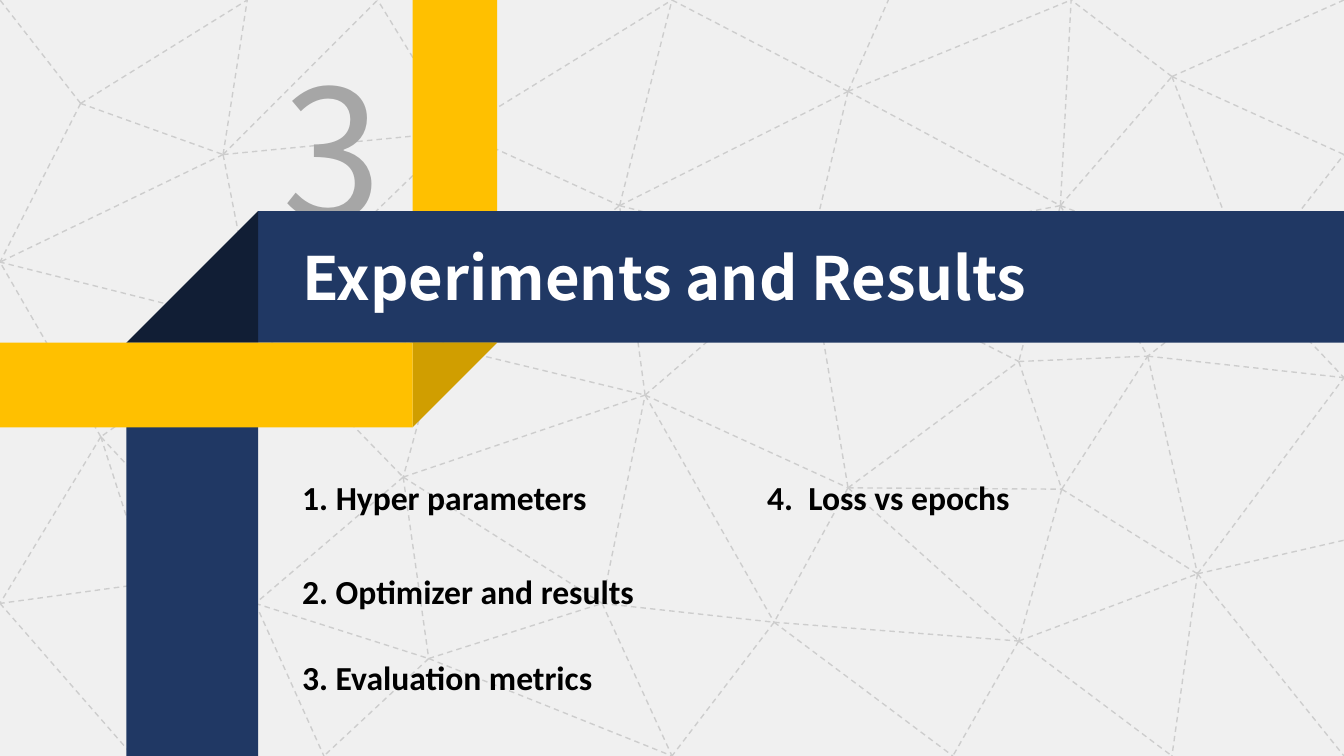
from lxml import etree
from pptx import Presentation
from pptx.dml.color import RGBColor
from pptx.enum import dml, shapes, text
from pptx.oxml import ns
from pptx.util import Inches, Pt

NAVY = RGBColor(0x20, 0x38, 0x64)
NAVY_FOLD = RGBColor(0x11, 0x1E, 0x35)
GOLD = RGBColor(0xFF, 0xC0, 0x00)
GOLD_FOLD = RGBColor(0xD0, 0x9E, 0x00)
PAPER = RGBColor(0xF0, 0xF0, 0xF0)
MESH_GRAY = RGBColor(0xCD, 0xCD, 0xCD)
NUMBER_GRAY = RGBColor(0xA6, 0xA6, 0xA6)
WHITE = RGBColor(0xFF, 0xFF, 0xFF)
BLACK = RGBColor(0x00, 0x00, 0x00)

HEADING_FONT = "Noto Sans CJK SC"
BODY_FONT = "Calibri"

SECTION_NUMBER = "3"
SECTION_TITLE = "Experiments and Results"
# Each column: left edge, then topics with their box widths
TOPIC_COLUMNS = [
    (2.15, [("1. Hyper parameters", 2.32),
            ("2. Optimizer and results", 2.67),
            ("3. Evaluation metrics", 2.36)]),
    (5.61, [("4.  Loss vs epochs", 2.01)]),
]
TOPIC_TOPS = [3.5, 4.2, 4.84]

WIDTH = 10
HEIGHT = WIDTH * 9 / 16

# Mesh points: T, B, L and R lie on the slide's edges, the rest inside
MESH_POINTS = {
    "T0": (0, 0), "T1": (1.84, 0), "T2": (2.81, 0), "T3": (5, 0),
    "T4": (6.61, 0), "T5": (7.97, 0), "T6": (10, 0),
    "L1": (0, 1.95), "L2": (0, 4.49),
    "R1": (10, 1.15), "R2": (10, 2.81), "R3": (10, 4.02),
    "B1": (0.99, HEIGHT), "B2": (2.41, HEIGHT), "B3": (5, HEIGHT),
    "B4": (7.09, HEIGHT), "B5": (8.72, HEIGHT), "B6": (10, HEIGHT),
    "a": (0.6, 0.77), "b": (1.66, 1.15), "c": (1.91, 2.43),
    "d": (3.41, 0.98), "e": (3.27, 2.57), "f": (3, 3.55),
    "g": (1.9, 4.49), "h": (0.75, 3.25), "i": (1.1, 4.34),
    "j": (3.19, 4.9), "k": (4.48, 4.49), "l": (4.8, 2.94),
    "m": (4.61, 1.53), "n": (6.31, 0.68), "o": (6.02, 1.89),
    "p": (6.31, 3.63), "q": (5.76, 4.63), "r": (7.89, 1.53),
    "s": (7.58, 2.69), "t": (7.9, 3.64), "u": (7.58, 4.77),
    "v": (8.72, 0.57), "w": (9.29, 2.06), "x": (8.54, 2.65),
    "y": (8.91, 4.27),
}
# From each point, the points it is joined to
MESH_LINKS = {
    "a": "T0 T1 L1 b", "b": "T1 T2 L1 c d", "c": "L1 d e f g h",
    "d": "T2 T3 e m", "e": "f l m", "f": "g j k l",
    "g": "B1 B2 h i j", "h": "L1 L2 i", "i": "L2 B1",
    "j": "B2 B3 k", "k": "B3 l q", "l": "m o p q",
    "m": "T3 n o", "n": "T3 T4 T5 o r", "o": "p r s",
    "p": "q s t u", "q": "B3 B4 u", "r": "T5 s v w x",
    "s": "t x", "t": "u x y", "u": "B4 B5 y",
    "v": "T5 T6 R1 w", "w": "R1 R2 x", "x": "R2 y",
    "y": "R2 R3 B5 B6", "L2": "B1",
}

# Ribbon geometry
NAVY_BAND, GOLD_BAND = 0.98, 0.63
NAVY_LEFT, NAVY_TOP = 0.94, 1.57
GOLD_LEFT = 3.07
BAR_LEFT = NAVY_LEFT + NAVY_BAND
CROSSING = NAVY_TOP + NAVY_BAND


def place(shape, left, top, width, height):
    shape.left, shape.top = Inches(left), Inches(top)
    shape.width, shape.height = Inches(width), Inches(height)


def draw_mesh(slide):
    mesh = slide.shapes.add_group_shape()
    for start, ends in MESH_LINKS.items():
        for end in ends.split():
            (x1, y1), (x2, y2) = MESH_POINTS[start], MESH_POINTS[end]
            link = mesh.shapes.add_connector(
                shapes.MSO_CONNECTOR.STRAIGHT,
                Inches(x1), Inches(y1), Inches(x2), Inches(y2))
            link.line.color.rgb = MESH_GRAY
            link.line.width = Pt(0.75)
            link.line.dash_style = dml.MSO_LINE.DASH
            properties = link.element.find(ns.qn("p:spPr"))
            etree.SubElement(properties, ns.qn("a:effectLst"))


def add_band(slide, left, top, width, height, color,
             kind=shapes.MSO_SHAPE.RECTANGLE, rotation=0):
    band = slide.shapes.add_shape(
        kind, Inches(left), Inches(top), Inches(width), Inches(height))
    band.rotation = rotation
    band.fill.solid()
    band.fill.fore_color.rgb = color
    band.line.fill.background()
    band.shadow.inherit = False


def add_fold(slide, left, top, side, color, rotation):
    add_band(slide, left, top, side, side, color,
             shapes.MSO_SHAPE.RIGHT_TRIANGLE, rotation)


def write(shape, words, font, size, color, bold=False):
    frame = shape.text_frame
    frame.word_wrap = False
    frame.auto_size = text.MSO_AUTO_SIZE.SHAPE_TO_FIT_TEXT
    frame.vertical_anchor = text.MSO_ANCHOR.TOP
    paragraph = frame.paragraphs[0]
    paragraph.alignment = text.PP_ALIGN.LEFT
    run = paragraph.add_run()
    run.text = words
    run.font.name = font
    run.font.size = Pt(size)
    run.font.bold = bold
    run.font.color.rgb = color


def add_label(slide, left, top, width, height, *style):
    label = slide.shapes.add_textbox(
        Inches(left), Inches(top), Inches(width), Inches(height))
    write(label, *style)


def main():
    deck = Presentation()
    deck.slide_width, deck.slide_height = Inches(WIDTH), Inches(HEIGHT)
    slide = deck.slides.add_slide(deck.slide_layouts[5])
    slide.background.fill.solid()
    slide.background.fill.fore_color.rgb = PAPER
    draw_mesh(slide)

    add_band(slide, GOLD_LEFT, 0, GOLD_BAND, CROSSING, GOLD)
    add_label(slide, 2, 0.25, 0.99, 1.72,
              SECTION_NUMBER, HEADING_FONT, 96, NUMBER_GRAY)
    add_band(slide, NAVY_LEFT, CROSSING, NAVY_BAND, HEIGHT - CROSSING, NAVY)
    add_band(slide, BAR_LEFT, NAVY_TOP, WIDTH - BAR_LEFT, NAVY_BAND, NAVY)
    add_fold(slide, NAVY_LEFT, NAVY_TOP, NAVY_BAND, NAVY_FOLD, 270)

    title = slide.shapes.title
    place(title, 2.15, 1.74, 5.68, 0.64)
    write(title, SECTION_TITLE, HEADING_FONT, 32, WHITE, True)
    title.element.getparent().append(title.element)  # in front of the bar

    add_fold(slide, GOLD_LEFT, CROSSING, GOLD_BAND, GOLD_FOLD, 90)
    add_band(slide, 0, CROSSING, GOLD_LEFT, GOLD_BAND, GOLD)

    for left, topics in TOPIC_COLUMNS:
        for top, (topic, width) in zip(TOPIC_TOPS, topics):
            add_label(slide, left, top, width, 0.4,
                      topic, BODY_FONT, 18, BLACK, True)

    deck.save("out.pptx")


if __name__ == "__main__":
    main()
